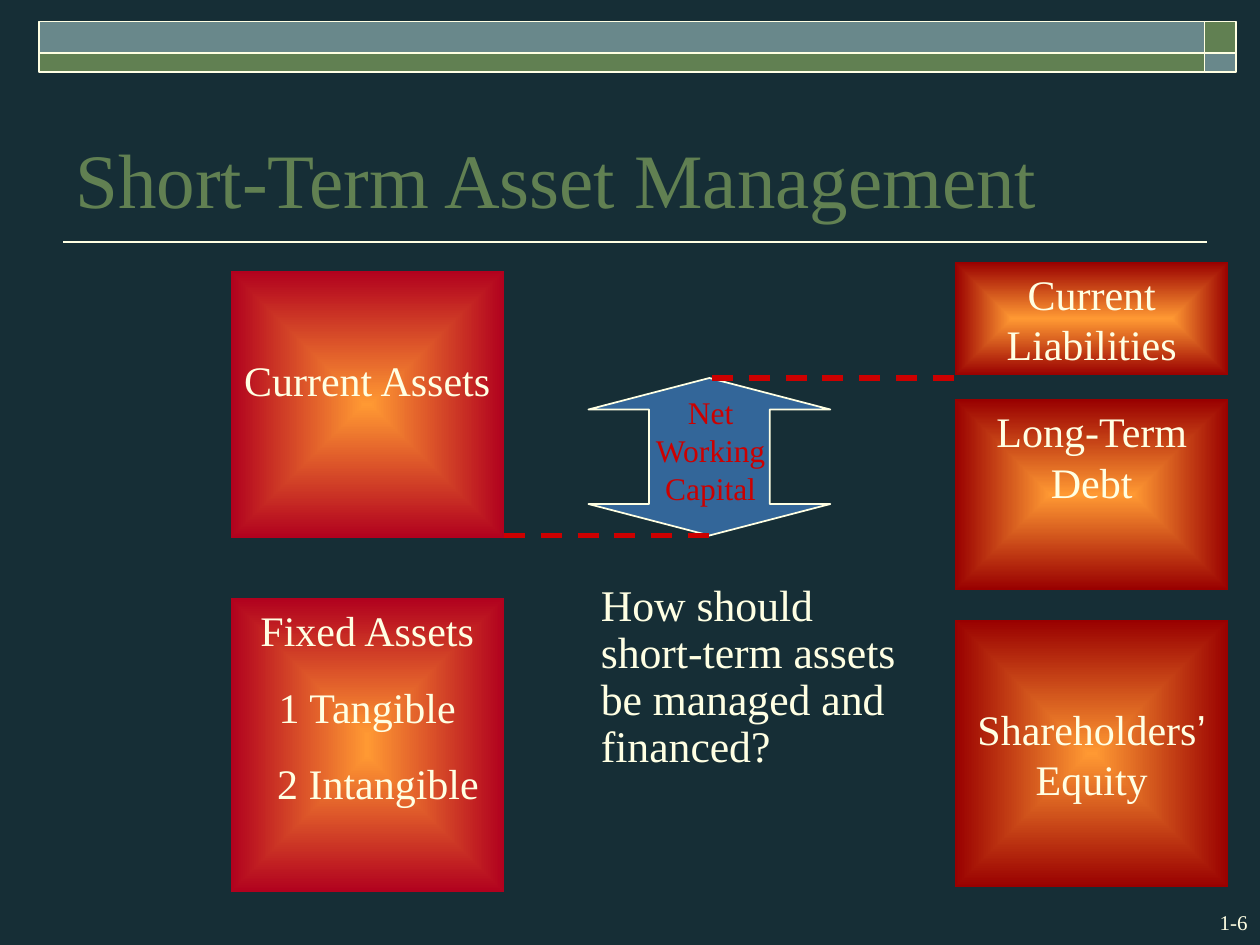
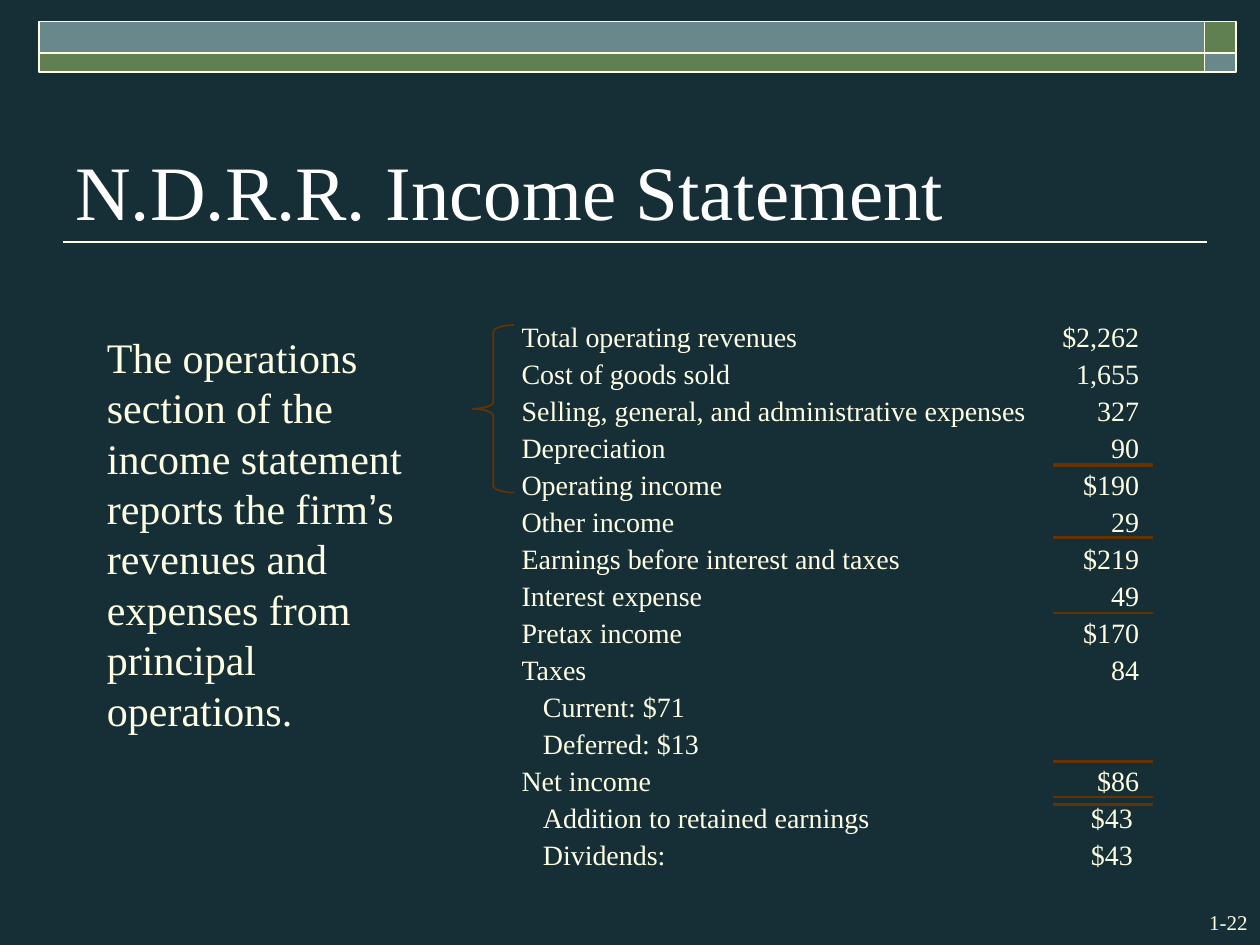
from lxml import etree
from pptx import Presentation
from pptx.dml.color import RGBColor
from pptx.enum.dml import MSO_LINE
from pptx.enum.shapes import MSO_CONNECTOR, MSO_SHAPE
from pptx.enum.text import MSO_ANCHOR as ANCHOR, PP_ALIGN as ALIGN
from pptx.oxml import parse_xml
from pptx.oxml.ns import nsdecls, qn
from pptx.util import Inches, Pt

COLORS = {
    "ground": "162E36", "cream": "FFFFE3", "white": "FFFFFF", "green": "618052",
    "teal": "69888B", "blue": "336699", "red": "CC0000", "brown": "663300",
    "black": "000000", "glow": "FF9933", "crimson": "B1011E", "maroon": "990000",
}
SERIF, SANS = "Times New Roman", "Arial"

STATEMENT = [
    ("Total operating revenues", "$2,262", 0),
    ("Cost of goods sold", "1,655", 0),
    ("Selling, general, and administrative expenses", "327", 0),
    ("Depreciation", "90", 0),
    ("Operating income", "$190", 0),
    ("Other income", "29", 0),
    ("Earnings before interest and taxes", "$219", 0),
    ("Interest expense", "49", 0),
    ("Pretax income", "$170", 0),
    ("Taxes", "84", 0),
    ("Current: $71", "", 1),
    ("Deferred: $13", "", 1),
    ("Net income", "$86", 0),
    ("Addition to retained earnings", "$43", 1),
    ("Dividends:", "$43", 1),
]
RULE_OFFSETS = [1.14, 1.15, 1.72, 2.32, 3.5, 3.78, 3.84]


def rgb(name):
    """Return the named colour."""
    return RGBColor.from_string(COLORS[name])


def write(sp, paragraphs, size, color="cream", align=ALIGN.LEFT, anchor=ANCHOR.TOP,
          margins=(0.1, 0.05), top=None, before=0, spacing=None):
    """Fill a shape with paragraphs, each a list of (text, font) runs."""
    tf = sp.text_frame
    tf.word_wrap = True
    tf.vertical_anchor = anchor
    side, edge = margins
    tf.margin_left = tf.margin_right = Inches(side)
    tf.margin_bottom = Inches(edge)
    tf.margin_top = Inches(edge if top is None else top)
    for i, runs in enumerate(paragraphs):
        p = tf.add_paragraph() if i else tf.paragraphs[0]
        p.alignment = align
        if i:
            p.space_before = Pt(before)
        if spacing:
            p.line_spacing = spacing
        for text, font in runs:
            r = p.add_run()
            r.text = text
            r.font.name = font
            r.font.size = Pt(size)
            r.font.color.rgb = rgb(color)
    return tf


def add_text(s, x, y, w, h, runs, size, **style):
    """Add a text box holding one paragraph."""
    box = s.shapes.add_textbox(Inches(x), Inches(y), Inches(w), Inches(h))
    write(box, [runs], size, **style)


def add_shape(s, kind, x, y, w, h, fill=None, line=None, width=1.0):
    """Add a preset shape with a plain fill and outline."""
    sp = s.shapes.add_shape(kind, Inches(x), Inches(y), Inches(w), Inches(h))
    sp.shadow.inherit = False
    if fill:
        sp.fill.solid()
        sp.fill.fore_color.rgb = rgb(fill)
    else:
        sp.fill.background()
    if line:
        sp.line.color.rgb = rgb(line)
        sp.line.width = Pt(width)
    else:
        sp.line.fill.background()
    return sp


def set_guides(sp, *values):
    """Set the guides adj1, adj2 and so on of a preset shape."""
    guides = sp.element.spPr.find(qn("a:prstGeom")).find(qn("a:avLst"))
    for old in list(guides):
        guides.remove(old)
    for i, value in enumerate(values, 1):
        etree.SubElement(guides, qn("a:gd"), name=f"adj{i}",
                         fmla=f"val {round(value * 100000)}")


def add_line(s, x1, x2, y, color, width, dash=None):
    """Add a horizontal line."""
    line = s.shapes.add_connector(MSO_CONNECTOR.STRAIGHT, Inches(x1), Inches(y),
                                  Inches(x2), Inches(y))
    line.line.color.rgb = rgb(color)
    line.line.width = Pt(width)
    if dash:
        line.line.dash_style = dash
    etree.SubElement(line.element.spPr, qn("a:effectLst"))


def add_glow_box(s, x, y, w, h, paragraphs, edge, top=0.05):
    """Add a captioned block that glows from its centre."""
    sp = add_shape(s, MSO_SHAPE.RECTANGLE, x, y, w, h)
    sp.fill.gradient()
    for stop, color in zip(sp.fill.gradient_stops, ("glow", edge)):
        stop.color.rgb = rgb(color)
    grad = sp.element.spPr.find(qn("a:gradFill"))
    grad.remove(grad.find(qn("a:lin")))
    grad.append(parse_xml(
        f'<a:path {nsdecls("a")} path="rect">'
        '<a:fillToRect l="50000" t="50000" r="50000" b="50000"/></a:path>'))
    return write(sp, paragraphs, 24, align=ALIGN.CENTER, top=top, before=15)


def add_band(s, x, y, w, h):
    """Draw the two-row checkered band at the top."""
    corner, upper = 0.25, 0.25
    long, lower = w - corner, h - upper
    for left, top, width, height, fill in (
            (x + long, y, corner, upper, "green"), (x, y, long, upper, "teal"),
            (x, y + upper, long, lower, "green"),
            (x + long, y + upper, corner, lower, "teal")):
        add_shape(s, MSO_SHAPE.RECTANGLE, left, top, width, height, fill, "cream")


def new_slide(prs, title, number, color, title_top):
    """Add a slide with background, band, title, rule and number."""
    s = prs.slides.add_slide(prs.slide_layouts[6])
    s.background.fill.solid()
    s.background.fill.fore_color.rgb = rgb("ground")
    add_line(s, 0.5, 9.58, 1.92, "cream", 1)
    add_band(s, 0.31, 0.17, 9.5, 0.4)
    add_text(s, 9.17, 7.17, 0.83, 0.3, [(number, SERIF)], 12, align=ALIGN.RIGHT)
    add_text(s, 0.5, title_top, 9.15, 1.25, [(title, SERIF)], 44, color=color,
             anchor=ANCHOR.BOTTOM)
    return s


def add_assets(s, x, y, w):
    """Stack the asset blocks."""
    add_glow_box(s, x, y, w, 2.12, [[("Current Assets", SERIF)]], "crimson", top=0.66)
    fixed = [[(text, SERIF)] for text in ("Fixed Assets", "1 Tangible", "2 Intangible")]
    tf = add_glow_box(s, x, y + 2.6, w, 2.33, fixed, "crimson")
    tf.paragraphs[2]._p.get_or_add_pPr().set("marL", str(Inches(0.17)))


def add_claims(s, x, y, w):
    """Stack the liability and equity blocks."""
    equity = [("Shareholders", SERIF), ("’", SANS), (" Equity", SERIF)]
    for offset, height, runs, top in (
            (0, 0.9, [("Current Liabilities", SERIF)], 0.05),
            (1.09, 1.51, [("Long-Term Debt", SERIF)], 0.05),
            (2.84, 2.12, equity, 0.66)):
        add_glow_box(s, x, y + offset, w, height, [runs], "maroon", top)


def add_working_capital(s, x, y, w, h):
    """Draw the working capital arrow between its two dashed levels."""
    arrow = add_shape(s, MSO_SHAPE.UP_DOWN_ARROW, x, y, w, h, "blue", "cream")
    set_guides(arrow, 0.5, 0.2)
    middle = x + 0.98
    add_line(s, middle, x + 3, y, "red", 3, MSO_LINE.DASH)
    add_line(s, x - 0.67, middle, y + h, "red", 3, MSO_LINE.DASH)
    add_text(s, x + 0.27, y + 0.07, 1.4, 1, [("Net Working Capital", SERIF)], 18,
             color="red", align=ALIGN.CENTER)


def add_statement(s, x, y, w, h):
    """Set out the income statement rows, subtotal rules and brace."""
    flat = (0, 0)
    amount, line_height = 0.68, 0.27
    pitch = (h - line_height) / (len(STATEMENT) - 1)
    for i, (label, value, level) in enumerate(STATEMENT):
        top = y + i * pitch
        add_text(s, x + 0.17 * level, top, 4.2, line_height, [(label, SERIF)], 16,
                 margins=flat)
        if value:
            right = x + w - 0.05 * level
            add_text(s, right - amount, top, amount, line_height, [(value, SERIF)], 16,
                     align=ALIGN.RIGHT, margins=flat)
    left = x + w - amount
    for offset in RULE_OFFSETS:
        add_shape(s, MSO_SHAPE.RECTANGLE, left, y + offset, 0.79, 0.01, "black",
                  "brown", 0.75)
    brace = add_shape(s, MSO_SHAPE.LEFT_BRACE, x - 0.39, y + 0.04, 0.33, 1.33,
                      line="brown")
    set_guides(brace, 0.17, 0.5)


def asset_slide(prs):
    """Build the short-term asset slide."""
    s = new_slide(prs, "Short-Term Asset Management", "1-6", "green", 0.58)
    add_working_capital(s, 4.67, 3, 1.92, 1.25)
    add_text(s, 4.67, 4.58, 2.67, 2.24,
             [("How should short-term assets be managed and financed?", SERIF)], 25,
             spacing=0.9)
    add_claims(s, 7.58, 2.08, 2.17)
    add_assets(s, 1.83, 2.15, 2.17)


def income_slide(prs):
    """Build the income statement slide."""
    s = new_slide(prs, "N.D.R.R. Income Statement", "1-22", "white", 0.67)
    add_text(s, 0.75, 2.58, 2.75, 3.3, [
        ("The operations section of the income statement reports the firm", SERIF),
        ("’", SANS),
        ("s revenues and expenses from principal operations.", SERIF)], 24)
    add_statement(s, 4.14, 2.54, 4.9, 4.38)


def main():
    """Build and save the presentation."""
    prs = Presentation()
    prs.slide_width, prs.slide_height = Inches(10), Inches(7.5)
    asset_slide(prs)
    income_slide(prs)
    prs.save("out.pptx")


if __name__ == "__main__":
    main()
